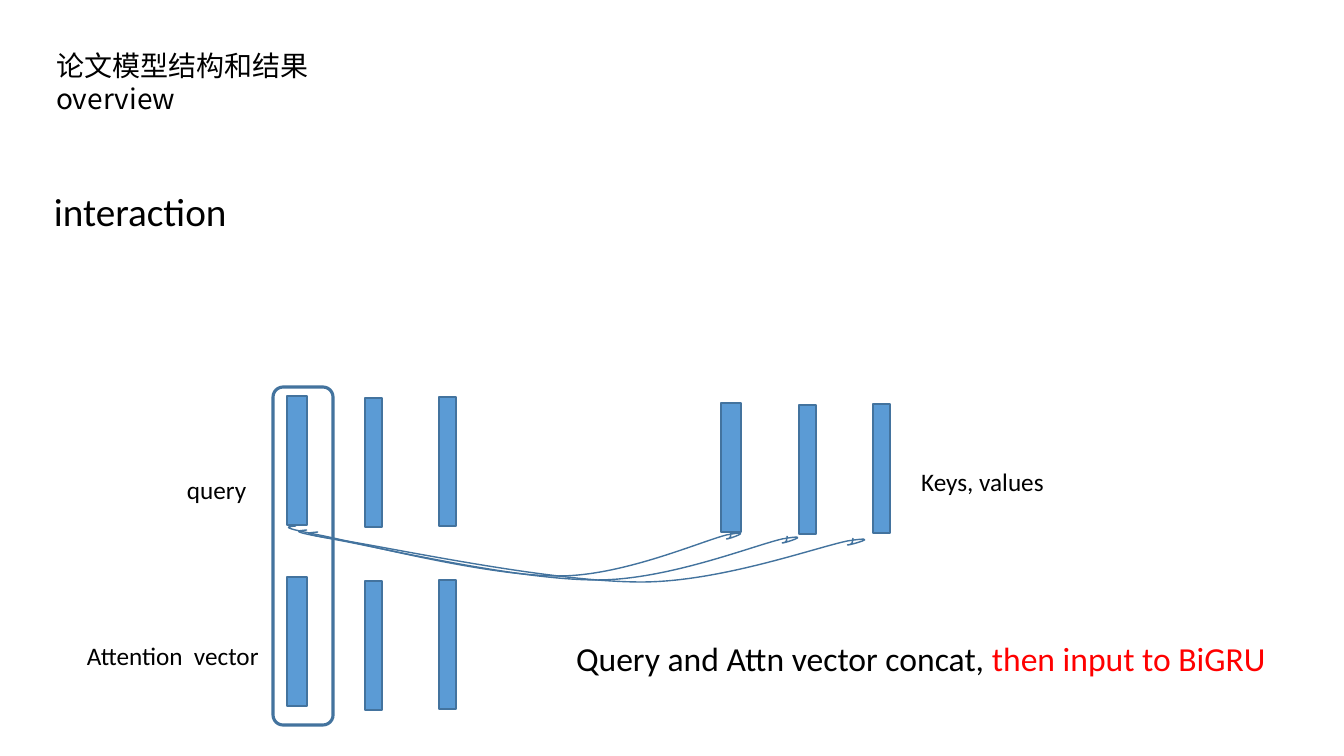
from lxml import etree
from pptx import Presentation
from pptx import util as u
from pptx.dml.color import RGBColor
from pptx.enum import shapes, text
from pptx.oxml.ns import qn

BLACK = RGBColor(0, 0, 0)
RED = RGBColor(0xFF, 0, 0)
BAR_BLUE = RGBColor(0x5B, 0x9B, 0xD5)
LINE_BLUE = RGBColor(0x43, 0x73, 0x9E)

TITLE = ["论文模型结构和结果", "overview"]
TITLE_BOX = (46, 43, 275, 78)
LABELS = [
    ((911, 461, 193, 40), 18, [("Keys, values", BLACK)]),
    ((177, 469, 104, 72), 18, [("query", BLACK)]),
    ((77, 635, 260, 40), 18, [("Attention  vector", BLACK)]),
    ((566, 633, 736, 82), 24,
     [("Query and Attn vector concat, ", BLACK), ("then input to BiGRU", RED)]),
    ((44, 182, 198, 57), 28, [("interaction", BLACK)]),
]

BAR_GROUPS = {"query": (287, (396, 398, 397)),
              "keys": (721, (403, 405, 404)),
              "attention": (287, (577, 581, 580))}
BAR_OFFSETS = (0, 78, 152)
BAR_WIDTHS = (20, 17, 17)
BAR_HEIGHT = 129
QUERY_FRAME = (273, 387, 60, 338)

LINKS = [(287, 526, 453), (297, 530, 500), (307, 532, 557)]
LINK_HEIGHT = 50
LINK_POINTS = [
    (0.02, 0), (0, 0.02), (-0.02, 0.02), (0.07, 0.18),
    (0.17, 0.36), (0.44, 1), (0.6, 1),
    (0.74, 1), (0.91, 0.32), (0.97, 0.18),
    (1.04, 0.06), (0.97, 0.28), (0.97, 0.26),
    (0.98, 0.26), (0.98, 0.18), (0.98, 0.12),
]


def px(value):
    return u.Emu(round(value * 914400 / 100.8))


def place(shape, box):
    shape.left, shape.top, shape.width, shape.height = map(px, box)


def outline(shape, points):
    shape.shadow.inherit = False
    shape.line.color.rgb = LINE_BLUE
    shape.line.width = u.Pt(points)


def add_bar(slide, box):
    bar = slide.shapes.add_shape(shapes.MSO_SHAPE.RECTANGLE, *map(px, box))
    bar.fill.solid()
    bar.fill.fore_color.rgb = BAR_BLUE
    outline(bar, 1)


def add_link(slide, left, top, width):
    points = [(px(left + x * width), px(top + y * LINK_HEIGHT))
              for x, y in LINK_POINTS]
    builder = slide.shapes.build_freeform(*points[0])
    builder.add_line_segments(points[1:], close=False)
    link = builder.convert_to_shape()
    segments = list(link._element.iter(qn("a:lnTo")))
    for start in range(0, len(segments), 3):
        curve = etree.SubElement(segments[start].getparent(), qn("a:cubicBezTo"))
        for segment in segments[start:start + 3]:
            curve.append(segment[0])
            segment.getparent().remove(segment)
    link.fill.background()
    outline(link, 1)


def add_label(slide, box, size, runs):
    frame = slide.shapes.add_textbox(*map(px, box)).text_frame
    frame.word_wrap = True
    paragraph = frame.paragraphs[0]
    paragraph.font.name = "Calibri"
    paragraph.font.size = u.Pt(size)
    for words, color in runs:
        run = paragraph.add_run()
        run.text = words
        run.font.color.rgb = color


def add_title(slide):
    title = slide.shapes.title
    place(title, TITLE_BOX)
    frame = title.text_frame
    frame.text = "\n".join(TITLE)
    frame.word_wrap = False
    frame.auto_size = text.MSO_AUTO_SIZE.NONE
    frame.vertical_anchor = text.MSO_ANCHOR.TOP
    for paragraph in frame.paragraphs:
        paragraph.alignment = text.PP_ALIGN.LEFT
        paragraph.line_spacing = u.Pt(24)
        paragraph.font.name = "Noto Sans CJK SC"
        paragraph.font.size = u.Pt(20)
        paragraph.font.color.rgb = BLACK


def main():
    presentation = Presentation()
    presentation.slide_width = u.Inches(13.33)
    presentation.slide_height = u.Inches(7.5)
    slide = presentation.slides.add_slide(presentation.slide_layouts[5])
    add_title(slide)
    for left, tops in BAR_GROUPS.values():
        for offset, top, width in zip(BAR_OFFSETS, tops, BAR_WIDTHS):
            add_bar(slide, (left + offset, top, width, BAR_HEIGHT))
    for link in LINKS:
        add_link(slide, *link)
    frame = slide.shapes.add_shape(
        shapes.MSO_SHAPE.ROUNDED_RECTANGLE, *map(px, QUERY_FRAME))
    frame.fill.background()
    outline(frame, 2.25)
    for label in LABELS:
        add_label(slide, *label)
    presentation.save("out.pptx")


if __name__ == "__main__":
    main()
